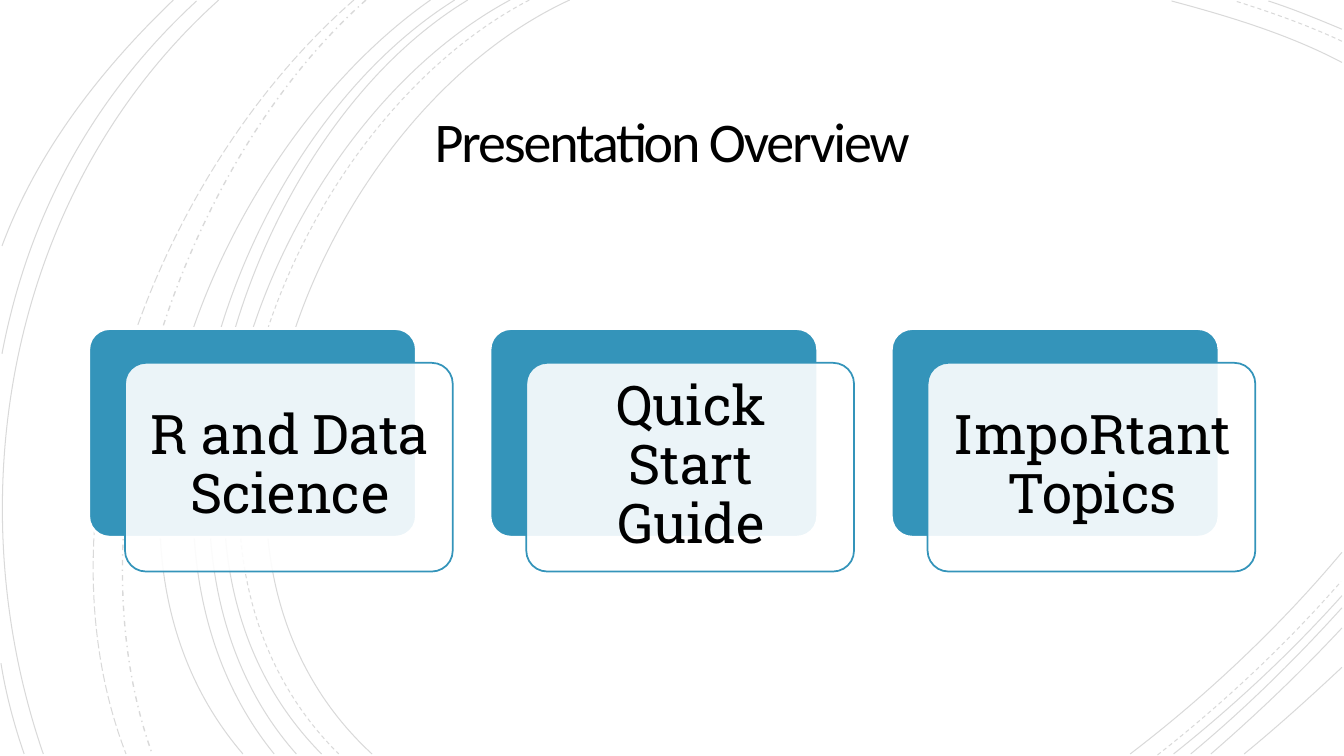
"""Build the presentation overview slide: sweeping arcs, a title and three cards."""
from dataclasses import dataclass

from lxml import etree
from pptx import Presentation
from pptx import util as u
from pptx.dml.color import RGBColor
from pptx.enum import dml, shapes, text
from pptx.oxml.ns import qn

PX = 9144
INK = {"black": "000000", "white": "FFFFFF", "blue": "3494BA"}
SOLID, DASH = dml.MSO_LINE.SOLID, dml.MSO_LINE.DASH
LONG, DOT = dml.MSO_LINE.LONG_DASH, dml.MSO_LINE.DASH_DOT
PITCH = 398


@dataclass
class Arc:
    start: tuple[int, int]
    lead: tuple[int, int]
    trail: tuple[int, int]
    end: tuple[int, int]
    dash: int = SOLID
    width: float = 0.75


@dataclass
class Box:
    left: int
    top: int
    width: int
    height: int

    def emu(self, shift: int = 0) -> list[int]:
        return [n * PX for n in (self.left + shift, self.top, self.width, self.height)]


ARCS = [
    Arc((565, 0), (315, 115), (143, 540), (369, 748)),
    Arc((1331, 62), (1278, 34), (1218, 16), (1162, 1)),
    Arc((1121, 748), (1197, 690), (1269, 622), (1331, 548)),
    Arc((525, 0), (285, 125), (123, 537), (336, 748), DASH),
    Arc((1331, 41), (1297, 25), (1260, 12), (1225, 1), DASH),
    Arc((1148, 749), (1213, 698), (1275, 640), (1330, 577), DASH),
    Arc((506, 0), (270, 127), (110, 537), (319, 748)),
    Arc((1331, 29), (1307, 19), (1283, 9), (1258, 1)),
    Arc((1164, 748), (1223, 701), (1280, 648), (1331, 591)),
    Arc((464, 0), (244, 133), (110, 541), (294, 748)),
    Arc((1181, 748), (1234, 704), (1284, 655), (1331, 603)),
    Arc((451, 0), (231, 138), (97, 533), (272, 748)),
    Arc((1201, 748), (1246, 709), (1290, 667), (1331, 623)),
    Arc((427, 0), (217, 147), (53, 529), (241, 748)),
    Arc((1234, 748), (1267, 721), (1299, 692), (1331, 662)),
    Arc((363, 0), (176, 166), (65, 509), (151, 748), DOT, 1),
    Arc((351, 0), (157, 169), (29, 499), (125, 748), LONG),
    Arc((217, 0), (11, 185), (-46, 490), (43, 748)),
    Arc((195, 1), (92, 96), (28, 214), (2, 351)),
    Arc((1, 658), (6, 689), (14, 719), (24, 748)),
    Arc((172, 0), (100, 69), (37, 150), (2, 244)),
]
TITLE = Box(192, 87, 949, 115)
BACK = Box(88, 326, 325, 207)
FRONT = Box(124, 360, 325, 207)
LABEL = Box(131, 366, 313, 194)
TOPICS = ["R and Data Science", "Quick Start Guide", "ImpoRtant Topics"]


def tint(name: str) -> RGBColor:
    return RGBColor.from_string(INK[name])


def fade(part, share: int) -> None:
    for hue in part.iter(qn("a:srgbClr")):
        etree.SubElement(hue, qn("a:alpha"), val=str(share * 1000))


def draw_arc(slide, arc: Arc) -> None:
    pen = slide.shapes.build_freeform(*arc.start, scale=PX)
    pen.add_line_segments([arc.lead, arc.trail, arc.end], close=False)
    curve = pen.convert_to_shape()
    curve.shadow.inherit = False
    curve.fill.background()
    curve.line.color.rgb = tint("black")
    curve.line.width = u.Pt(arc.width)
    curve.line.dash_style = arc.dash
    fade(curve.element, 15)
    route = curve.element.find(".//" + qn("a:path"))
    bend = etree.SubElement(route, qn("a:cubicBezTo"))
    for step in route.findall(qn("a:lnTo")):
        bend.append(step[0])
        route.remove(step)


def draw_card(slide, box: Box, shift: int, fill: str, line: str, width: float):
    card = slide.shapes.add_shape(shapes.MSO_SHAPE.ROUNDED_RECTANGLE, *box.emu(shift))
    card.adjustments[0] = 0.1
    card.shadow.inherit = False
    card.fill.solid()
    card.fill.fore_color.rgb = tint(fill)
    card.line.color.rgb = tint(line)
    card.line.width = u.Pt(width)
    return card


def write(shape, words: str, font: str, size: int, inset: int, gap: float):
    frame = shape.text_frame
    frame.text = words
    frame.word_wrap = True
    frame.auto_size = text.MSO_AUTO_SIZE.NONE
    frame.vertical_anchor = text.MSO_ANCHOR.MIDDLE
    frame.margin_left = frame.margin_right = inset * PX
    frame.margin_top = frame.margin_bottom = inset * PX
    para = frame.paragraphs[0]
    para.alignment = text.PP_ALIGN.CENTER
    para.line_spacing = gap
    para.font.name = font
    para.font.size = u.Pt(size)
    para.font.color.rgb = tint("black")
    return para


def draw_title(slide) -> None:
    title = slide.shapes.title
    title.left, title.top, title.width, title.height = TITLE.emu()
    para = write(title, "Presentation Overview", "Calibri", 40, 25, 0.85)
    para.runs[0].font.bold = False
    para.runs[0].font._element.set("spc", "-150")
    slide.shapes.element.append(title.element)


def draw_topic(slide, words: str, shift: int) -> None:
    draw_card(slide, BACK, shift, "blue", "white", 2)
    front = draw_card(slide, FRONT, shift, "white", "blue", 1.25)
    fade(front.element.spPr.find(qn("a:solidFill")), 90)
    label = slide.shapes.add_textbox(*LABEL.emu(shift))
    write(label, words, "Roboto Slab", 39, 16, 0.9)


def main() -> None:
    deck = Presentation()
    deck.slide_width, deck.slide_height = 1333 * PX, 750 * PX
    slide = deck.slides.add_slide(deck.slide_layouts[5])
    slide.background.fill.solid()
    slide.background.fill.fore_color.rgb = tint("white")
    for arc in ARCS:
        draw_arc(slide, arc)
    draw_title(slide)
    for spot, words in enumerate(TOPICS):
        draw_topic(slide, words, spot * PITCH)
    deck.save("out.pptx")


if __name__ == "__main__":
    main()
